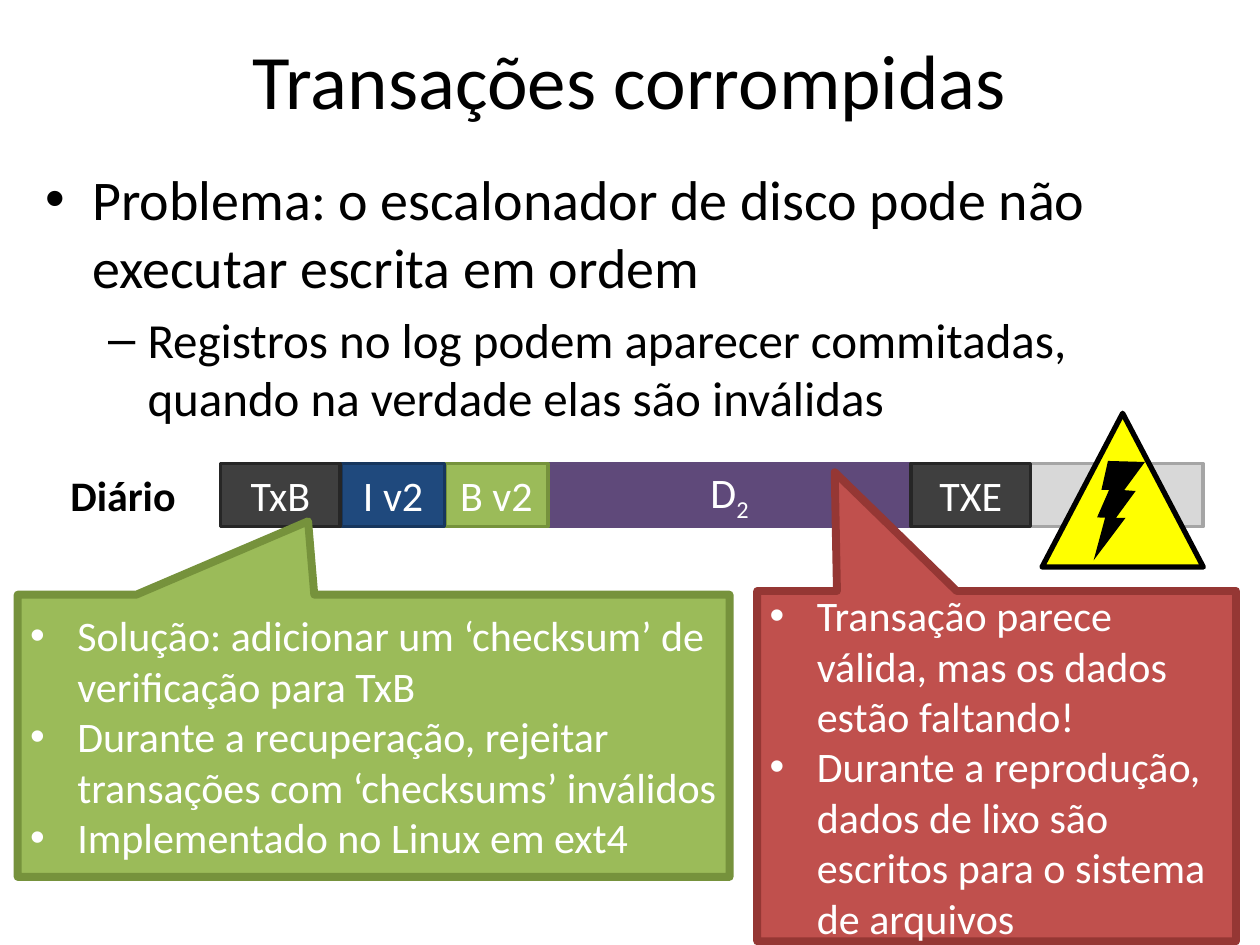
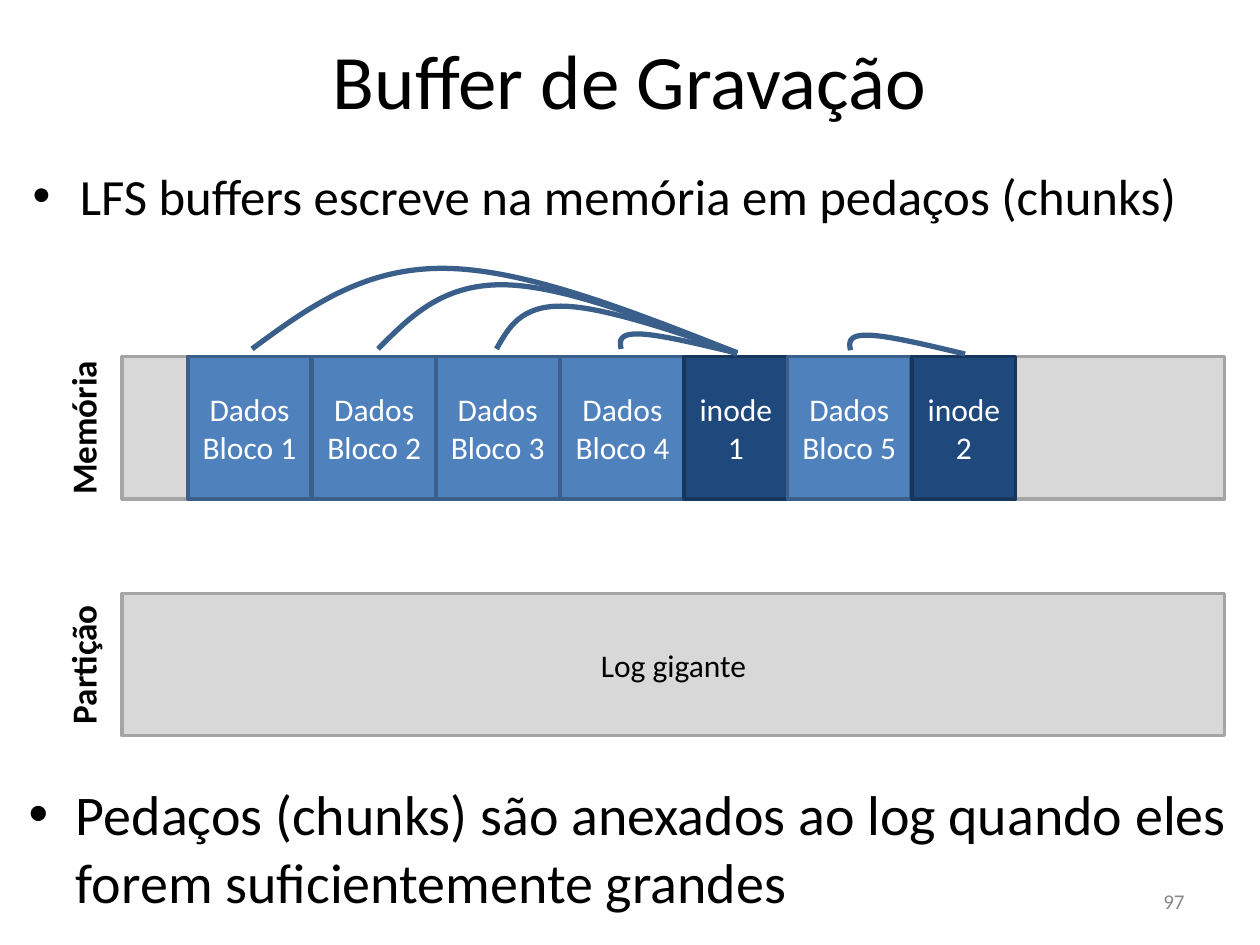
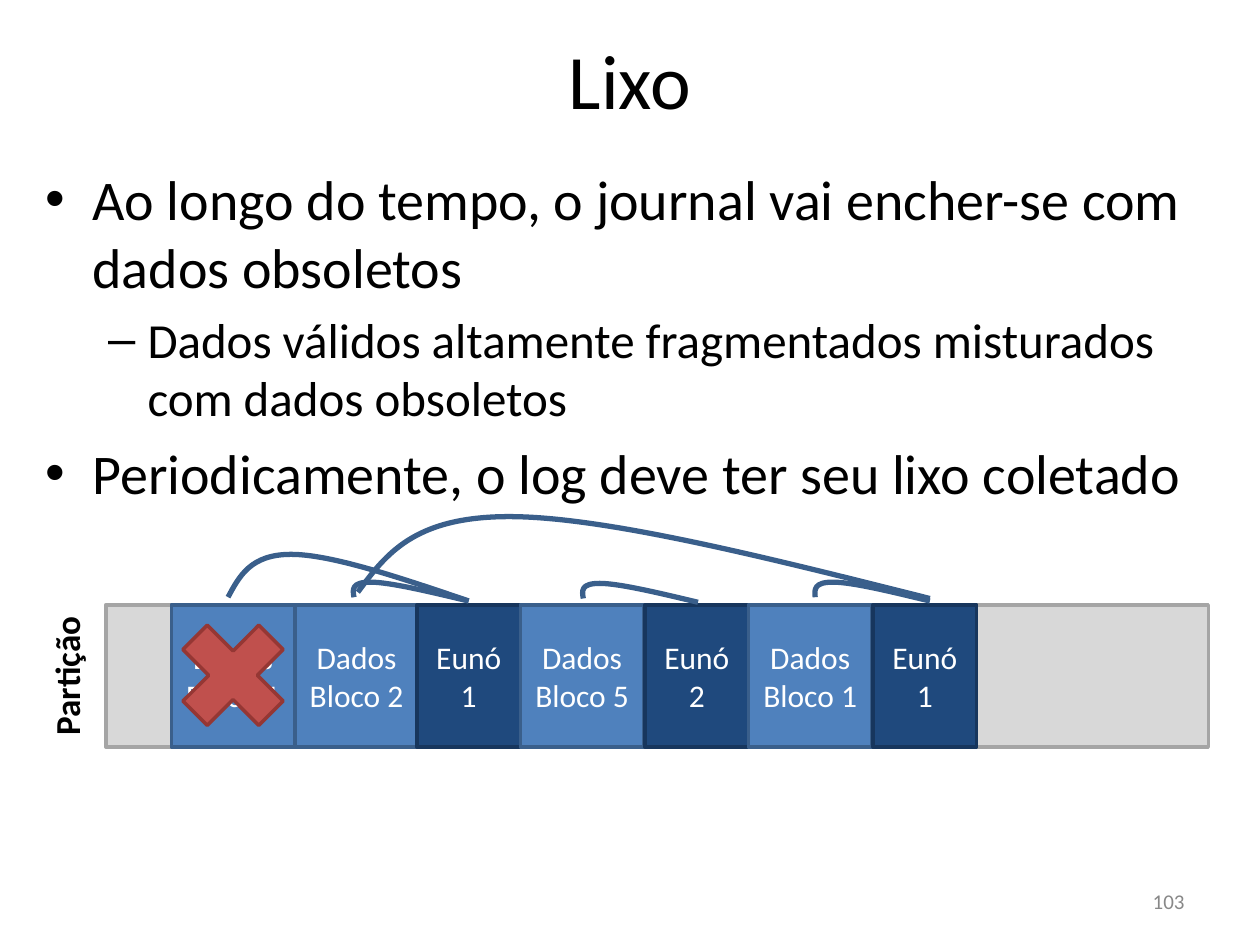
from lxml import etree
from pptx import Presentation
from pptx.dml.color import RGBColor
from pptx.enum.shapes import MSO_SHAPE
from pptx.enum.text import MSO_ANCHOR, PP_ALIGN
from pptx.oxml.ns import qn
from pptx.util import Pt

PX = 9144  # 100 px to the inch
FONT = "Calibri"
BLACK, WHITE, NUMBER_GRAY = "000000", "FFFFFF", "888888"
# Each pair is a fill and its outline
GRAY = ("D8D8D8", "A5A5A5")
DARK = ("3F3F3F", "262626")
NAVY = ("1F497D", "17365D")
BLUE = ("4F81BD", "3A5F8B")
GREEN = ("9BBB59", "76923C")
PURPLE = ("5F497A", "5F497A")
RED = ("C0504D", "953734")
YELLOW = ("FFFF00", "000000")
INK = ("000000", None)
INDENTS = {"•": (Pt(27), Pt(-27)), "–": (Pt(58.5), Pt(-22.5))}
color = RGBColor.from_string


def add_box(slide, place, colors=None, kind=MSO_SHAPE.RECTANGLE, line_width=2):
    """Add a shape, or a text box when there are no colors."""
    place = [value * PX for value in place]
    if colors is None:
        return slide.shapes.add_textbox(*place)
    shape = slide.shapes.add_shape(kind, *place)
    shape.shadow.inherit = False
    fill, line = colors
    shape.fill.solid()
    shape.fill.fore_color.rgb = color(fill)
    if line:
        shape.line.color.rgb = color(line)
        shape.line.width = Pt(line_width)
    else:
        shape.line.fill.background()
    return shape


def write(shape, lines, size, ink=BLACK, align=PP_ALIGN.CENTER,
          anchor=MSO_ANCHOR.MIDDLE, bold=False, spacing=0):
    """Write lines; a line that starts with a bullet sign becomes a list item."""
    frame = shape.text_frame
    frame.word_wrap = True
    frame.vertical_anchor = anchor
    for index, line in enumerate(lines):
        paragraph = frame.add_paragraph() if index else frame.paragraphs[0]
        paragraph.alignment = align
        marker = line[0]
        line_size = size - 4 if marker == "–" else size
        if marker in INDENTS:
            line = line[2:]
            paragraph.alignment = PP_ALIGN.LEFT
            margin, indent = INDENTS[marker]
            properties = paragraph._p.get_or_add_pPr()
            properties.set("marL", str(int(margin)))
            properties.set("indent", str(int(indent)))
            etree.SubElement(properties, qn("a:buFont")).set("typeface", "Arial")
            etree.SubElement(properties, qn("a:buChar")).set("char", marker)
        if index and spacing:
            paragraph.space_before = Pt(line_size * spacing)
        run = paragraph.add_run()
        run.text = line
        run.font.name = FONT
        run.font.size = Pt(line_size)
        run.font.bold = bold
        run.font.color.rgb = color(ink)


presentation = Presentation()
presentation.slide_width = 1000 * PX
presentation.slide_height = 750 * PX

# Titles, main text and page numbers
pages = [
    ("Transações corrompidas", (26, 126, 949, 243), 32, None, [
        "• Problema: o escalonador de disco pode não executar escrita em ordem",
        "– Registros no log podem aparecer commitadas, quando na verdade elas são inválidas",
    ]),
    ("Buffer de Gravação", (16, 126, 949, 78), 29, "97", [
        "• LFS buffers escreve na memória em pedaços (chunks)",
    ]),
    ("Lixo", (26, 126, 949, 566), 32, "103", [
        "• Ao longo do tempo, o journal vai encher-se com dados obsoletos",
        "– Dados válidos altamente fragmentados misturados com dados obsoletos",
        "• Periodicamente, o log deve ter seu lixo coletado",
    ]),
]
slides = []
for title, body_place, body_size, number, body in pages:
    slide = presentation.slides.add_slide(presentation.slide_layouts[6])
    slides.append(slide)
    write(add_box(slide, (50, 0, 900, 125)), [title], 44)
    write(add_box(slide, body_place), body, body_size,
          anchor=MSO_ANCHOR.TOP, spacing=0.2)
    if number:
        write(add_box(slide, (717, 695, 233, 40)), [number], 12, NUMBER_GRAY,
              align=PP_ALIGN.RIGHT)
corrupted_slide, buffer_slide, garbage_slide = slides

# Corrupted transactions: the journal
add_box(corrupted_slide, (175, 368, 780, 50), GRAY)
write(add_box(corrupted_slide, (46, 368, 108, 50)), ["Diário"], 24,
      align=PP_ALIGN.LEFT, anchor=MSO_ANCHOR.TOP, bold=True)
records = [
    ("D", 435, 288, PURPLE),
    ("B v2", 353, 82, GREEN),
    ("I v2", 271, 82, NAVY),
    ("TxB", 175, 95, DARK),
    ("TXE", 723, 95, DARK),
]
for label, left, width, colors in records:
    record = add_box(corrupted_slide, (left, 368, width, 50), colors)
    write(record, [label], 24, WHITE)
    if label == "D":
        subscript = record.text_frame.paragraphs[0].add_run()
        subscript.text = "2"
        subscript.font.name = FONT
        subscript.font.size = Pt(24)
        subscript.font.color.rgb = color(WHITE)
        subscript.font._element.set("baseline", "-25000")

# Corrupted transactions: warning sign and callouts
add_box(corrupted_slide, (827, 328, 128, 122), YELLOW, MSO_SHAPE.ISOSCELES_TRIANGLE, 3)
bolt = add_box(corrupted_slide, (852, 366, 68, 68), INK, MSO_SHAPE.LIGHTNING_BOLT)
bolt.rotation = 336.9
bolt._element.spPr.find(qn("a:xfrm")).set("flipH", "1")
callouts = [
    ((601, 469, 380, 278), RED, (-0.338, -0.839), [
        "• Transação parece válida, mas os dados estão faltando!",
        "• Durante a reprodução, dados de lixo são escritos para o sistema de arquivos",
    ]),
    ((14, 472, 565, 224), GREEN, (-0.092, -0.76), [
        "• Solução: adicionar um ‘checksum’ de verificação para TxB",
        "• Durante a recuperação, rejeitar transações com ‘checksums’ inválidos",
        "• Implementado no Linux em ext4",
    ]),
]
for place, colors, tip, lines in callouts:
    callout = add_box(corrupted_slide, place, colors, MSO_SHAPE.RECTANGULAR_CALLOUT, 4.5)
    callout.adjustments[0], callout.adjustments[1] = tip
    write(callout, lines, 24, WHITE)

# Write buffer: text below the strips
write(add_box(buffer_slide, (13, 614, 974, 118)),
      ["• Pedaços (chunks) são anexados ao log quando eles forem suficientemente grandes"],
      32, anchor=MSO_ANCHOR.TOP)

# Storage strips: blocks as (left, lines), arcs as (start, peak, end)
strips = [
    (buffer_slide, "Memória", 97, 283, [
        (149, ["Dados Bloco 1"]), (248, ["Dados Bloco 2"]),
        (346, ["Dados Bloco 3"]), (445, ["Dados Bloco 4"]),
        (543, ["inode", "1"]), (625, ["Dados Bloco 5"]), (724, ["inode", "2"]),
    ], [
        ((585, 280), (351, 213), (200, 277)),
        ((585, 281), (398, 226), (300, 277)),
        ((585, 280), (445, 243), (394, 277)),
        ((584, 280), (506, 265), (493, 277)),
        ((766, 281), (688, 266), (675, 278)),
    ]),
    (buffer_slide, "Partição", 97, 471, [], []),
    (garbage_slide, "Partição", 84, 480, [
        (136, ["Dados Bloco 1"]), (234, ["Dados Bloco 2"]), (331, ["Eunó", "1"]),
        (413, ["Dados Bloco 5"]), (512, ["Eunó", "2"]),
        (594, ["Dados Bloco 1"]), (693, ["Eunó", "1"]),
    ], [
        ((372, 477), (294, 462), (281, 474)),
        ((554, 478), (476, 463), (463, 475)),
        ((372, 477), (231, 440), (181, 474)),
        ((738, 477), (661, 462), (647, 474)),
        ((738, 475), (404, 410), (284, 470)),
    ]),
]
for slide, caption, left, top, blocks, arcs in strips:
    strip = add_box(slide, (left, top, 875, 113), GRAY)
    if not blocks:
        write(strip, ["Log gigante"], 18)
    caption_box = add_box(slide, (left - 103, top + 35, 143, 43))
    caption_box.rotation = 270
    write(caption_box, [caption], 20, anchor=MSO_ANCHOR.TOP, bold=True)

    for block_left, lines in blocks:
        is_data = len(lines) == 1
        block = add_box(slide, (block_left, top, 98 if is_data else 82, 113),
                        BLUE if is_data else NAVY)
        write(block, lines, 18, WHITE)

    for start, peak, end in arcs:
        # Two Bézier curves meet at the peak with a level tangent
        reach = (start[0] - end[0]) / 6
        before = (peak[0] + reach, peak[1])
        after = (peak[0] - reach, peak[1])
        leaving = ((start[0] + before[0]) / 2, (start[1] + before[1]) / 2)
        arriving = ((after[0] + end[0]) / 2, (after[1] + end[1]) / 2)
        points = [(x * PX, y * PX) for x, y in (leaving, before, peak, after, arriving, end)]
        builder = slide.shapes.build_freeform(start[0] * PX, start[1] * PX)
        builder.add_line_segments(points, close=False)
        arc = builder.convert_to_shape()
        arc.shadow.inherit = False
        arc.fill.background()
        arc.line.color.rgb = color(BLUE[1])
        arc.line.width = Pt(3)
        # Every three straight segments become one cubic curve
        segments = list(arc._element.iter(qn("a:lnTo")))
        outline = segments[0].getparent()
        for first in (0, 3):
            curve = etree.SubElement(outline, qn("a:cubicBezTo"))
            for segment in segments[first:first + 3]:
                curve.append(segment[0])
                outline.remove(segment)

# Garbage: the obsolete block is crossed out
cross = add_box(garbage_slide, (127, 478, 116, 116), RED, MSO_SHAPE.MATH_MULTIPLY)
cross.adjustments[0] = 0.235

presentation.save("out.pptx")
